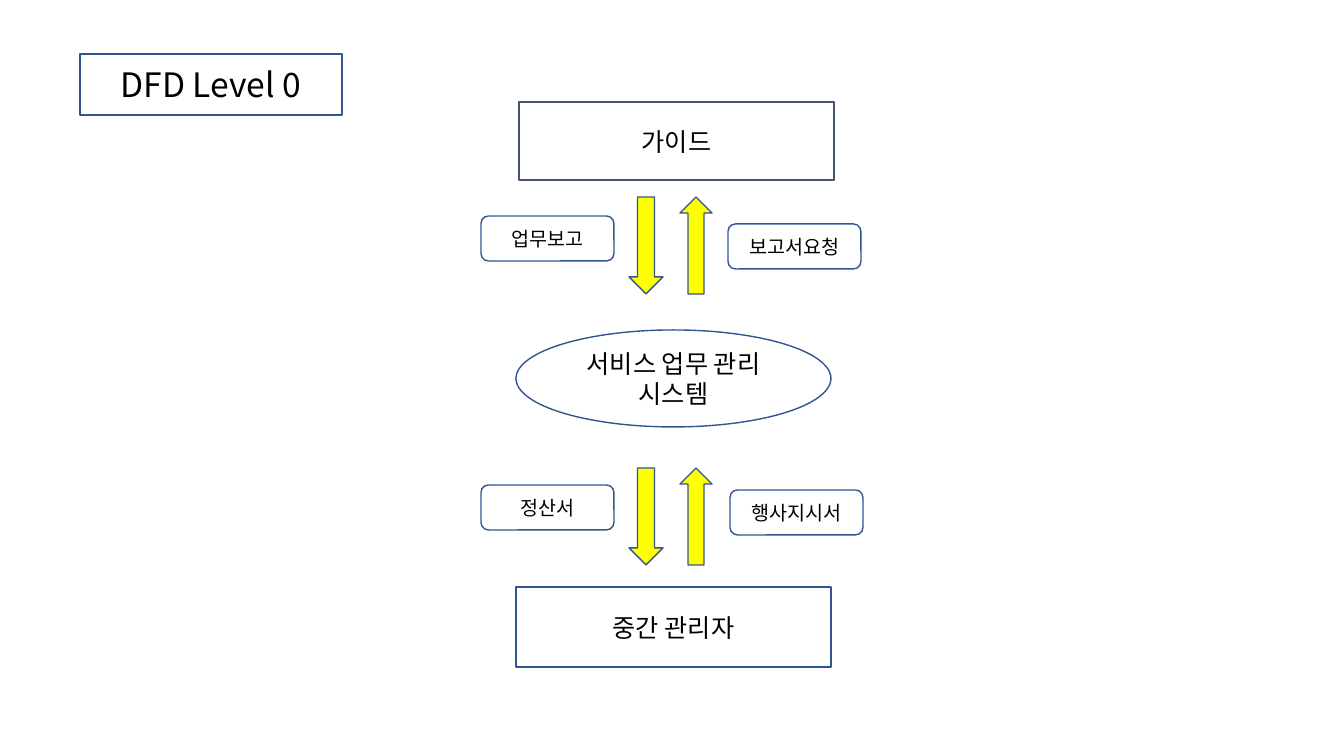
from pptx import Presentation
from pptx.dml.color import RGBColor
from pptx.enum.shapes import MSO_SHAPE
from pptx.enum.text import MSO_ANCHOR, PP_ALIGN
from pptx.oxml.ns import qn
from pptx.util import Emu, Pt
from lxml.etree import SubElement

SCALE = 914400 / 100.8
FONT = "Noto Sans CJK KR"
BLUE, SLATE, WHITE, YELLOW, BLACK = "325491", "44546A", "FFFFFF", "FFFF00", "000000"


def px(count):
    """Turn pixels into EMU."""
    return Emu(round(count * SCALE))


def color(code):
    """Turn a hex string into a colour."""
    return RGBColor.from_string(code)


def write(shape, words, size=18, ink=BLACK, align=PP_ALIGN.CENTER):
    """Put formatted text in the middle of a shape."""
    frame = shape.text_frame
    frame.word_wrap = True
    frame.vertical_anchor = MSO_ANCHOR.MIDDLE
    para = frame.paragraphs[0]
    para.alignment = align
    run = para.add_run()
    run.text = words
    run.font.name = FONT
    run.font.size = Pt(size)
    run.font.color.rgb = color(ink)
    SubElement(run.font._element, qn("a:ea")).set("typeface", FONT)


def draw(slide, kind, box, fill=WHITE, line=BLUE):
    """Add a filled and outlined shape in a box."""
    shape = slide.shapes.add_shape(kind, *map(px, box))
    shape.shadow.inherit = False
    shape.fill.solid()
    shape.fill.fore_color.rgb = color(fill)
    shape.line.color.rgb = color(line)
    shape.line.width = Pt(1)
    return shape


def node(slide, kind, box, words, size=18, line=BLUE):
    """Add a shape that holds text."""
    write(draw(slide, kind, box, line=line), words, size=size)


def flow(slide, box, down, up):
    """Add a down and an up arrow with a label beside each.

    Each label is its words and its offset from the box.
    """
    left, top, _, height = box
    for shift, width, turn in ((148, 34, 0), (199, 32, 180)):
        arrow = draw(slide, MSO_SHAPE.DOWN_ARROW,
                     (left + shift, top, width, height), fill=YELLOW)
        arrow.rotation = turn
    for words, x, y in (down, up):
        node(slide, MSO_SHAPE.ROUNDED_RECTANGLE,
             (left + x, top + y, 133, 45), words, size=14)


def diagram(slide, box):
    """Add the outside parties, the system and the flows between them."""
    left, top, width, _ = box
    mid = left + 35
    node(slide, MSO_SHAPE.RECTANGLE, (mid + 3, top, 315, 78), "가이드", line=SLATE)
    node(slide, MSO_SHAPE.OVAL, (mid, top + 228, 315, 97), "서비스 업무 관리 시스템")
    node(slide, MSO_SHAPE.RECTANGLE, (mid, top + 485, 315, 80), "중간 관리자")
    flow(slide, (left, top + 95, width, 97),
         ("업무보고", 0, 19), ("보고서요청", 247, 27))
    flow(slide, (left, top + 366, width, 97),
         ("정산서", 0, 17), ("행사지시서", 249, 22))


deck = Presentation()
deck.slide_width, deck.slide_height = px(1344), px(756)
page = deck.slides.add_slide(deck.slide_layouts[6])
diagram(page, (481, 102, 382, 565))
node(page, MSO_SHAPE.RECTANGLE, (80, 54, 262, 61), "DFD Level 0", size=24)
deck.save("out.pptx")
